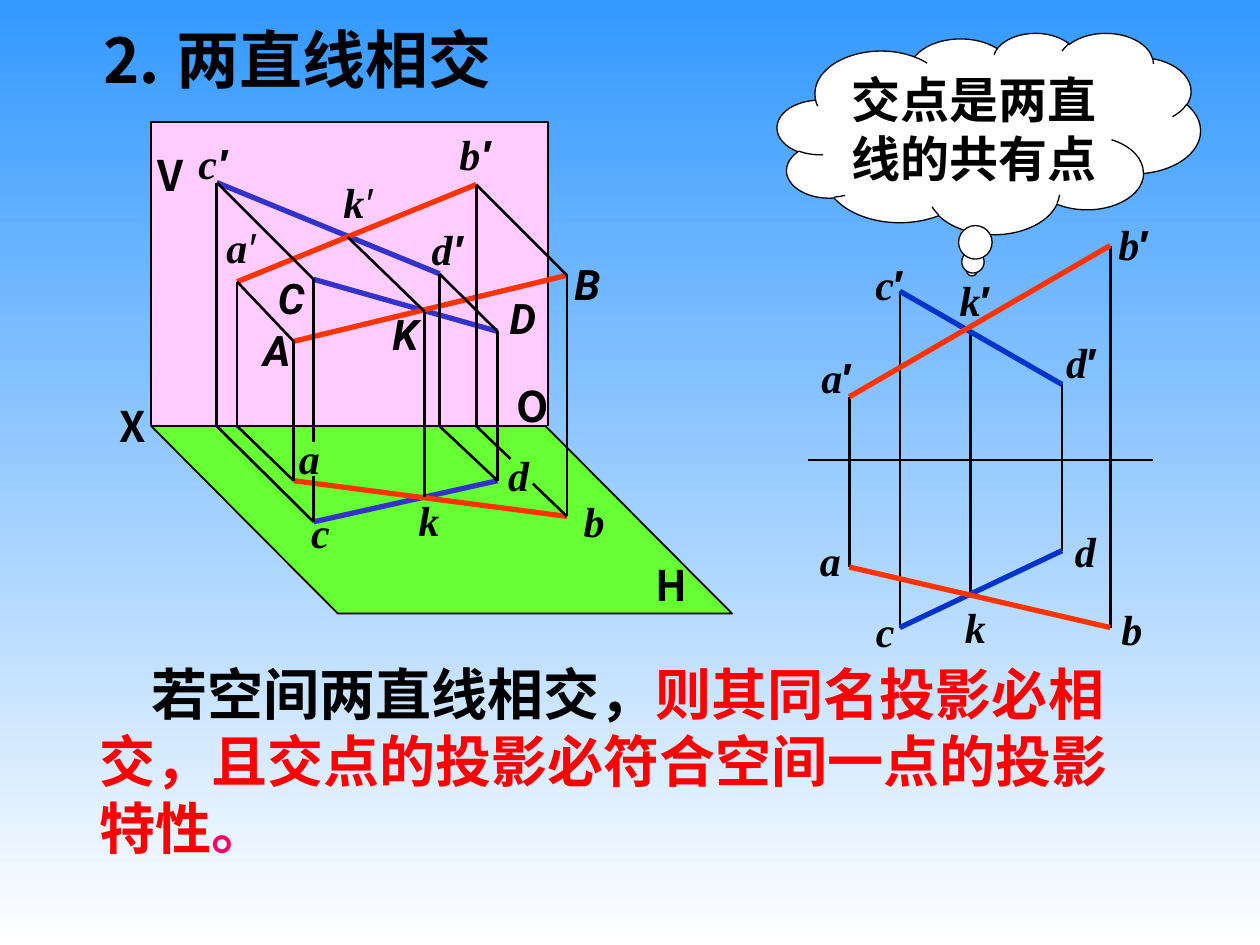
from lxml import etree
from pptx import Presentation
from pptx.dml.color import RGBColor
from pptx.enum.shapes import MSO_CONNECTOR, MSO_SHAPE
from pptx.enum.text import MSO_ANCHOR, PP_ALIGN
from pptx.oxml.ns import qn
from pptx.util import Cm, Pt

STRAIGHT = MSO_CONNECTOR.STRAIGHT
RECTANGLE, PARALLELOGRAM = MSO_SHAPE.RECTANGLE, MSO_SHAPE.PARALLELOGRAM
CLOUD = MSO_SHAPE.CLOUD_CALLOUT
TOP, MIDDLE = MSO_ANCHOR.TOP, MSO_ANCHOR.MIDDLE
LEFT, CENTER = PP_ALIGN.LEFT, PP_ALIGN.CENTER

BLACK = RGBColor(0x00, 0x00, 0x00)
WHITE = RGBColor(0xFF, 0xFF, 0xFF)
SKY = RGBColor(0x33, 0x99, 0xFF)
PINK = RGBColor(0xFF, 0xCC, 0xFF)
GREEN = RGBColor(0x66, 0xFF, 0x33)
ORANGE = RGBColor(0xFF, 0x33, 0x00)
INDIGO = RGBColor(0x33, 0x33, 0xCC)
BLUE = RGBColor(0x00, 0x33, 0xCC)
RED = RGBColor(0xFF, 0x00, 0x00)
ROSE = RGBColor(0xFF, 0x00, 0x66)
HAN, SERIF, SANS, PRIME = "Noto Sans CJK SC", "Times New Roman", "Roboto", "Arial"


def format_run(run, size, latin, color=BLACK, bold=True, italic=False, east_asian=HAN):
    run.font.size = Pt(size)
    run.font.bold = bold
    run.font.italic = italic
    run.font.color.rgb = color
    run.font.name = latin
    etree.SubElement(run.font._element, qn("a:ea")).set("typeface", east_asian)


def draw_lines(points, pairs, color, width):
    for pair in pairs.split():
        start, end = pair.split("-")
        line = slide.shapes.add_connector(
            STRAIGHT, *[Cm(v) for v in points[start] + points[end]])
        line.line.color.rgb = color
        line.line.width = Pt(width)
        etree.SubElement(line._element.spPr, qn("a:effectLst"))


prs = Presentation()
prs.slide_width, prs.slide_height = Cm(25.4), Cm(19.05)
slide = prs.slides.add_slide(prs.slide_layouts[5])

sky = slide.background.fill
sky.gradient()
sky.gradient_angle = 270
for stop, color in zip(sky.gradient_stops, (SKY, WHITE)):
    stop.color.rgb = color

title = slide.shapes.title
title.left, title.top, title.width, title.height = Cm(1.75), Cm(0.28), Cm(9.5), Cm(1.78)
title.text_frame.text = "⒉ 两直线相交"
title.text_frame.word_wrap = True
title.text_frame.vertical_anchor = MIDDLE
title.text_frame.paragraphs[0].alignment = LEFT
format_run(title.text_frame.paragraphs[0].runs[0], 36, HAN)

conclusion = slide.shapes.add_textbox(Cm(1.75), Cm(13.16), Cm(21.34), Cm(4.32)).text_frame
conclusion.word_wrap = True
conclusion.vertical_anchor = MIDDLE
rule = conclusion.paragraphs[0]
rule._p.get_or_add_pPr().set("indent", str(Cm(1.05)))
for wording, color in (
    ("若空间两直线相交，", BLACK),
    ("则其同名投影必相交，且交点的投影必符合空间一点的投影特性", RED),
    ("。", ROSE),
):
    run = rule.add_run()
    run.text = wording
    format_run(run, 32, SERIF, color)

areas = []
for preset, left, top, width, height, color, outline in (
    (RECTANGLE, 3.05, 2.46, 8, 6.12, PINK, 1),
    (CLOUD, 15.67, 0.66, 8.53, 4.06, WHITE, 0.75),
    (PARALLELOGRAM, 3.05, 8.59, 11.71, 3.78, GREEN, 1),
):
    area = slide.shapes.add_shape(preset, Cm(left), Cm(top), Cm(width), Cm(height))
    area.shadow.inherit = False
    area.fill.solid()
    area.fill.fore_color.rgb = color
    area.line.color.rgb = BLACK
    area.line.width = Pt(outline)
    areas.append(area)
v_plane, remark, h_plane = areas
h_plane.adjustments[0] = 0.995
h_plane._element.spPr.find(qn("a:xfrm")).set("flipH", "1")
remark.adjustments[0], remark.adjustments[1] = -0.04, 0.68
remark.text_frame.text = "交点是两直线的共有点"
remark.text_frame.word_wrap = True
remark.text_frame.vertical_anchor = MIDDLE
remark.text_frame.paragraphs[0].alignment = CENTER
format_run(remark.text_frame.paragraphs[0].runs[0], 28, SERIF)

space = {
    "a′": (4.78, 5.68), "b′": (9.6, 3.72), "c′": (4.37, 3.68), "d′": (8.86, 5.52),
    "k′": (7.01, 4.78), "A": (5.92, 6.88), "B": (11.43, 5.55), "C": (6.32, 5.63),
    "D": (10.03, 6.68), "K": (8.56, 6.28), "a": (5.92, 9.69), "b": (11.43, 10.41),
    "c": (6.32, 10.52), "d": (10.03, 9.69), "k": (8.56, 10.01),
    "ax": (4.78, 8.59), "bx": (9.6, 8.59), "cx": (4.37, 8.59), "dx": (8.86, 8.59),
    "above_a": (6.32, 8.92), "below_a": (6.32, 9.6),
    "before_d": (10.29, 9.25), "after_d": (10.74, 9.75),
}
draw_lines(space, "c-d C-D c′-d′", INDIGO, 3)
draw_lines(space, "a-b A-B a′-b′", ORANGE, 3)
draw_lines(space, "a′-A b′-B c′-C d′-D k′-K A-a B-b D-d K-k C-above_a below_a-c "
           "a′-ax b′-bx c′-cx d′-dx ax-a cx-c dx-d bx-before_d after_d-b", BLACK, 1.5)

views = {
    "a′": (17.12, 8), "b′": (22.38, 4.95), "c′": (18.14, 5.87), "d′": (21.41, 7.75),
    "k′": (19.56, 6.65), "a": (17.12, 11.43), "b": (22.38, 12.65), "c": (18.14, 12.65),
    "d": (21.41, 11.1), "k": (19.56, 12.04), "X": (16.28, 9.27), "O": (23.24, 9.27),
}
draw_lines(views, "a′-a b′-b c′-c d′-d k′-k X-O", BLACK, 1.5)
draw_lines(views, "c′-d′ c-d", BLUE, 3)
draw_lines(views, "a′-b′ a-b", ORANGE, 3)

space_labels = (
    ("a′", 4.5, 4.47, 0.71), ("c′", 3.96, 2.77, 0.66), ("V", 3.15, 3.02, 0.56),
    ("X", 2.39, 8.08, 0.56), ("b′", 9.22, 2.59, 0.71), ("H", 13.21, 11.28, 0.66),
    ("D", 10.21, 5.89, 0.66), ("a", 6.02, 8.71, 0.43), ("c", 6.27, 10.21, 0.38),
    ("d", 10.24, 9.07, 0.43), ("k", 8.43, 9.96, 0.43), ("C", 5.59, 5.49, 0.56),
    ("A", 5.26, 6.55, 0.64), ("k′", 6.86, 3.56, 0.71), ("K", 7.85, 6.22, 0.64),
    ("d′", 8.66, 4.5, 0.71), ("b", 11.76, 9.98, 0.43), ("O", 10.39, 7.67, 0.69),
    ("B", 11.56, 5.21, 0.56),
)
view_labels = (
    ("c", 17.4, 12.07, 0.89), ("a", 16.28, 10.64, 0.91), ("b", 22.35, 12.04, 0.94),
    ("d", 21.41, 10.46, 0.94), ("b′", 22.2, 4.27, 1.32), ("a′", 16.26, 6.96, 1.22),
    ("c′", 17.35, 5.08, 1.17), ("d′", 21.13, 6.65, 1.35), ("k", 19.2, 11.99, 0.91),
    ("k′", 19.05, 5.41, 1.22),
)
for labels, height, side, edge, anchor, light_primes, slanted in (
    (space_labels, 1.02, 0, 0, TOP, ("a′", "k′"), True),
    (view_labels, 1.27, 0.25, 0.13, MIDDLE, (), False),
):
    for name, left, top, width in labels:
        frame = slide.shapes.add_textbox(Cm(left), Cm(top), Cm(width), Cm(height)).text_frame
        frame.word_wrap = False
        frame.vertical_anchor = anchor
        frame.margin_left = frame.margin_right = Cm(side)
        frame.margin_top = frame.margin_bottom = Cm(edge)
        label = frame.paragraphs[0]
        label.alignment = CENTER
        for symbol in name:
            run = label.add_run()
            run.text = symbol
            if symbol == "′":
                format_run(run, 24, PRIME, bold=name not in light_primes,
                           italic=slanted, east_asian=PRIME)
            elif symbol in "VHXO":
                format_run(run, 24, HAN)
            else:
                format_run(run, 24, SANS if symbol.isupper() else SERIF, italic=True)

prs.save("out.pptx")
